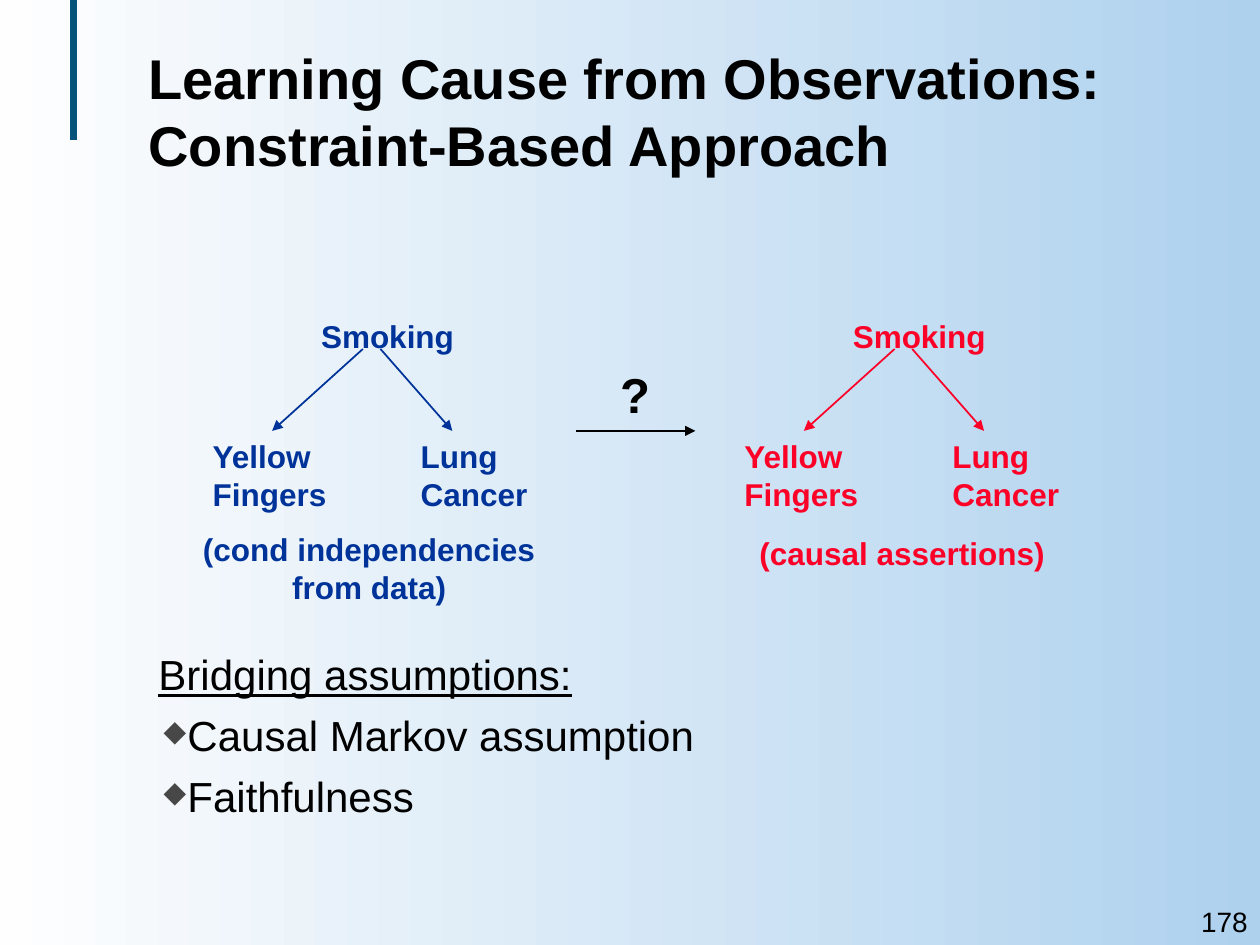
from dataclasses import dataclass

from lxml.etree import SubElement
from pptx import Presentation
from pptx.dml.color import RGBColor
from pptx.enum.shapes import MSO_CONNECTOR as Connector
from pptx.enum.text import MSO_ANCHOR as Anchor, MSO_AUTO_SIZE as AutoSize, PP_ALIGN as Align
from pptx.oxml.ns import qn
from pptx.slide import Slide
from pptx.util import Inches, Pt

BLACK, BLUE, RED = "000000", "003399", "FC0128"


def rgb(value):
    return RGBColor.from_string(value)


@dataclass
class SlideBuilder:
    """Holds the text style and the slide being drawn."""

    slide: Slide
    font: str = "Arial"
    size: int = 18

    def background(self, start, end):
        fill = self.slide.background.fill
        fill.gradient()
        fill.gradient_angle = 0
        for stop, color, position in zip(fill.gradient_stops, (start, end), (0, 1)):
            stop.color.rgb = rgb(color)
            stop.position = position

    def line(self, start, end, color, width=1, arrow=True):
        points = [Inches(value) for value in (*start, *end)]
        connector = self.slide.shapes.add_connector(Connector.STRAIGHT, *points)
        connector.line.color.rgb = rgb(color)
        connector.line.width = Pt(width)
        if arrow:
            SubElement(connector.line._get_or_add_ln(), qn("a:tailEnd"), type="triangle")
        SubElement(connector._element.spPr, qn("a:effectLst"))

    def frame(self, box, anchor=Anchor.TOP, wrap=True):
        shape = self.slide.shapes.add_textbox(*[Inches(value) for value in box])
        frame = shape.text_frame
        frame.word_wrap = wrap
        frame.auto_size = AutoSize.NONE if wrap else AutoSize.SHAPE_TO_FIT_TEXT
        frame.vertical_anchor = anchor
        return frame

    def run(self, paragraph, text, color=BLACK, size=None, bold=False, underline=False):
        run = paragraph.add_run()
        run.text = text
        font = run.font
        font.name, font.size = self.font, Pt(size or self.size)
        font.bold, font.underline = bold, underline
        font.color.rgb = rgb(color)

    def text(self, box, lines, color=BLACK, size=None, bold=True,
             align=Align.LEFT, anchor=Anchor.TOP, wrap=True):
        frame = self.frame(box, anchor, wrap)
        for index, line in enumerate(lines):
            paragraph = frame.add_paragraph() if index else frame.paragraphs[0]
            paragraph.alignment = align
            self.run(paragraph, line, color, size, bold)

    def title(self, box, lines, size):
        paragraph = self.frame(box, Anchor.MIDDLE).paragraphs[0]
        for index, line in enumerate(lines):
            if index:
                paragraph.add_line_break()
            self.run(paragraph, line, size=size, bold=True)

    def bullet_list(self, box, heading, items, size):
        frame = self.frame(box)
        self.run(frame.paragraphs[0], heading, size=size, underline=True)
        for item in items:
            paragraph = frame.add_paragraph()
            properties = paragraph._p.get_or_add_pPr()
            properties.set("marL", str(Inches(0.23)))
            properties.set("indent", str(-Inches(0.19)))
            bullet_color = SubElement(properties, qn("a:buClr"))
            SubElement(bullet_color, qn("a:srgbClr"), val="474747")
            SubElement(properties, qn("a:buSzPct"), val="70000")
            SubElement(properties, qn("a:buChar"), char="◆")
            paragraph.space_before = Pt(6)
            self.run(paragraph, item, size=size)

    def causal_graph(self, left, color):
        self.line((left + 1.43, 2.77), (left + 2, 3.42), color)
        self.line((left + 1.29, 2.77), (left + 0.57, 3.42), color)
        self.text((left + 0.86, 2.47, 1.27, 0.4), ["Smoking"], color, wrap=False)
        self.text((left, 3.42, 1.1, 0.7), ["Yellow", "Fingers"], color, wrap=False)
        self.text((left + 1.65, 3.42, 1.05, 0.7), ["Lung", "Cancer"], color, wrap=False)


def main():
    presentation = Presentation()
    presentation.slide_width, presentation.slide_height = Inches(10), Inches(7.5)
    builder = SlideBuilder(presentation.slides.add_slide(presentation.slide_layouts[6]))
    centered = {"align": Align.CENTER, "anchor": Anchor.MIDDLE}

    builder.background("FEFEFE", "AED1EE")
    builder.line((0.58, 0), (0.58, 1.11), "07547A", width=4, arrow=False)
    builder.title((1.08, 0.25, 7.83, 1.25),
                  ["Learning Cause from Observations:", "Constraint-Based Approach"], 32)
    builder.bullet_list((1.16, 5.1, 7.76, 1.79), "Bridging assumptions:",
                        ["Causal Markov assumption", "Faithfulness"], 24)

    builder.causal_graph(1.59, BLUE)
    builder.causal_graph(5.81, RED)
    builder.text((1.44, 4.16, 2.98, 0.7), ["(cond independencies", "from data)"],
                 BLUE, **centered)
    builder.text((5.67, 4.19, 2.98, 0.4), ["(causal assertions)"], RED, **centered)

    builder.line((4.57, 3.42), (5.52, 3.42), BLACK)
    builder.text((4.82, 2.84, 0.44, 0.57), ["?"], size=28, wrap=False, **centered)
    builder.text((8.99, 7.13, 1.01, 0.37), ["178"], size=16, bold=False,
                 align=Align.RIGHT, anchor=Anchor.MIDDLE)
    presentation.save("out.pptx")


if __name__ == "__main__":
    main()
